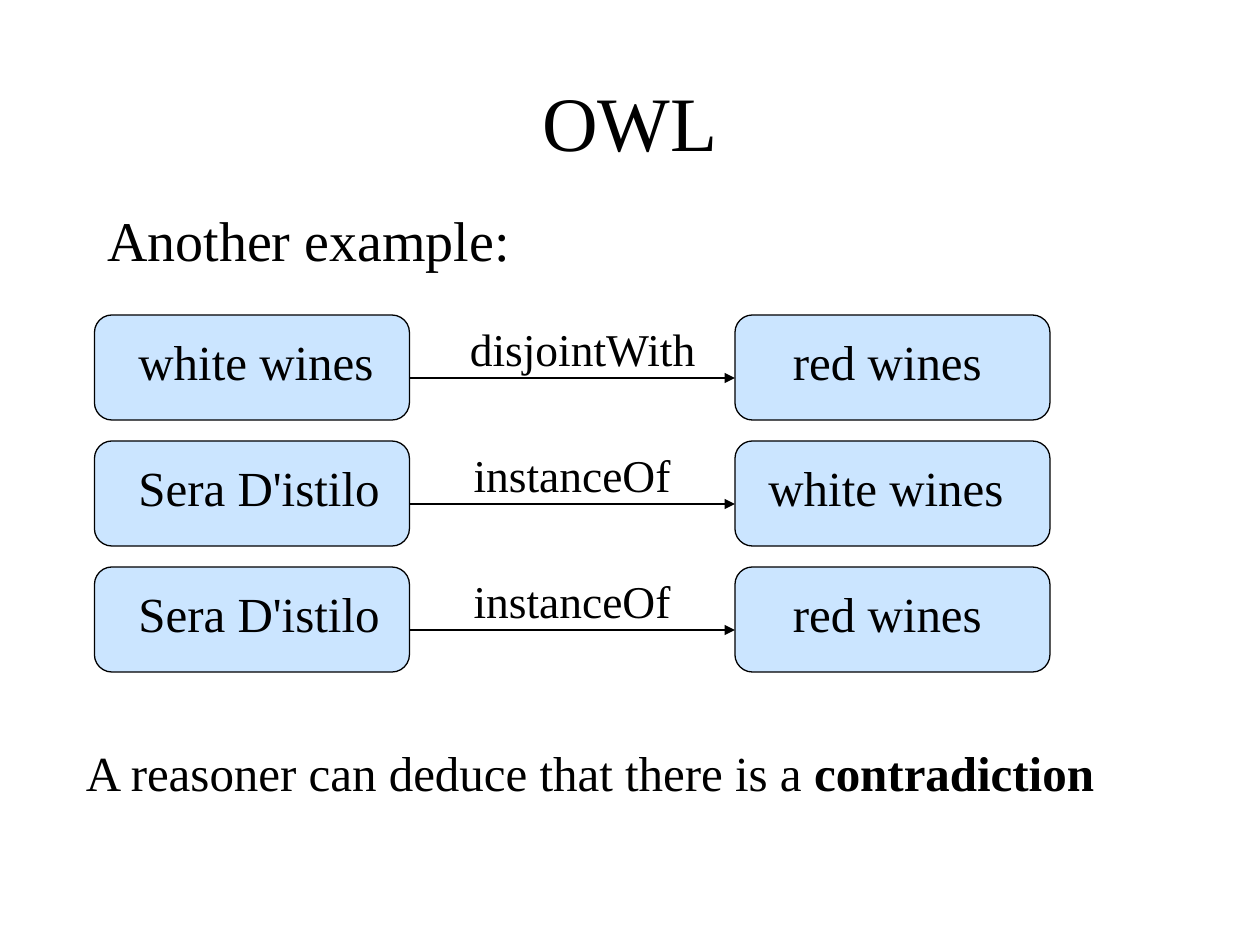
from dataclasses import dataclass

from lxml import etree
from pptx import Presentation
from pptx.dml.color import RGBColor
from pptx.enum import shapes, text
from pptx.oxml import ns
from pptx.util import Pt


@dataclass(frozen=True)
class Theme:
    font: str = "Times New Roman"
    ink: RGBColor = RGBColor(0x00, 0x00, 0x00)
    box: RGBColor = RGBColor(0x99, 0xCC, 0xFF)
    box_alpha: int = 50
    line: float = 0.75
    title: int = 44
    body: int = 32
    statement: int = 28
    relation: int = 26


THEME = Theme()
BOX_WIDTH, BOX_HEIGHT = 180, 60
SUBJECT_LEFT, OBJECT_LEFT = 54, 420
FIRST_TOP, ROW_PITCH = 180, 72

# subject, relation, object, tab stop of the object, (left, width) of the relation
WIDE, NARROW = (252, 162), (258, 138)
STATEMENTS = [
    ("white wines", "disjointWith", "red wines", 374, WIDE),
    ("Sera D'istilo", "instanceOf", "white wines", 360, NARROW),
    ("Sera D'istilo", "instanceOf", "red wines", 374, NARROW),
]


def add_child(parent, tag, **attributes):
    return etree.SubElement(parent, ns.qn(tag), attributes)


def style(paragraph, size, align=text.PP_ALIGN.LEFT):
    paragraph.alignment = align
    paragraph.font.name = THEME.font
    paragraph.font.size = Pt(size)
    paragraph.font.color.rgb = THEME.ink


def place(shape, left, top, width, height):
    shape.left, shape.top = Pt(left), Pt(top)
    shape.width, shape.height = Pt(width), Pt(height)


def fill_title(slide, words):
    title = slide.shapes.title
    place(title, 54, 24, 612, 90)
    title.text_frame.text = words
    title.text_frame.vertical_anchor = text.MSO_ANCHOR.MIDDLE
    style(title.text_frame.paragraphs[0], THEME.title, text.PP_ALIGN.CENTER)


def fill_body(slide, words):
    body = slide.placeholders[1]
    place(body, 54, 114, 612, 324)
    body.text_frame.text = words
    paragraph = body.text_frame.paragraphs[0]
    style(paragraph, THEME.body)
    paragraph.space_before = Pt(8)
    properties = paragraph._p.get_or_add_pPr()
    properties.set("marL", str(Pt(27)))
    properties.set("indent", str(Pt(-27)))
    # the schema wants the bullet ahead of the default run properties
    bullet = add_child(properties, "a:buNone")
    properties.find(ns.qn("a:defRPr")).addprevious(bullet)


def add_text(slide, words, left, top, width, height, size, align=text.PP_ALIGN.LEFT):
    box = slide.shapes.add_textbox(Pt(left), Pt(top), Pt(width), Pt(height))
    box.text_frame.word_wrap = True
    box.text_frame.auto_size = text.MSO_AUTO_SIZE.SHAPE_TO_FIT_TEXT
    paragraph = box.text_frame.paragraphs[0]
    paragraph.add_run().text = words
    style(paragraph, size, align)
    return paragraph


def add_box(slide, left, top):
    box = slide.shapes.add_shape(shapes.MSO_SHAPE.ROUNDED_RECTANGLE,
                                 Pt(left), Pt(top), Pt(BOX_WIDTH), Pt(BOX_HEIGHT))
    box.shadow.inherit = False
    box.fill.solid()
    box.fill.fore_color.rgb = THEME.box
    color = box.fill._xPr.find(".//" + ns.qn("a:srgbClr"))
    add_child(color, "a:alpha", val=str(THEME.box_alpha * 1000))
    box.line.color.rgb = THEME.ink
    box.line.width = Pt(THEME.line)


def add_arrow(slide, start, end, y):
    arrow = slide.shapes.add_connector(shapes.MSO_CONNECTOR.STRAIGHT,
                                       Pt(start), Pt(y), Pt(end), Pt(y))
    arrow.line.color.rgb = THEME.ink
    arrow.line.width = Pt(THEME.line)
    add_child(arrow.line._get_or_add_ln(), "a:tailEnd", type="triangle")
    add_child(arrow._element.spPr, "a:effectLst")


def add_statement(slide, top, subject, relation, target, tab_stop, relation_span):
    """Draw one row: two boxes, the arrow between them and their words."""
    add_box(slide, OBJECT_LEFT, top)
    add_box(slide, SUBJECT_LEFT, top)
    add_arrow(slide, SUBJECT_LEFT + BOX_WIDTH, OBJECT_LEFT, top + 36)
    left, width = relation_span
    add_text(slide, relation, left, top, width, 39, THEME.relation, text.PP_ALIGN.CENTER)
    names = add_text(slide, f"{subject}\t{target}", 72, top + 6, 600, 41, THEME.statement)
    tabs = add_child(names._p.get_or_add_pPr(), "a:tabLst")
    add_child(tabs, "a:tab", pos=str(Pt(tab_stop)), algn="l")
    # the schema wants the tab list ahead of the default run properties
    names._p.pPr.insert(0, tabs)


def add_conclusion(slide):
    paragraph = add_text(slide, "A reasoner can deduce that there is a ",
                         42, 421, 600, 41, THEME.statement)
    run = paragraph.add_run()
    run.text = "contradiction"
    run.font.bold = True


def main():
    presentation = Presentation()
    presentation.slide_width, presentation.slide_height = Pt(720), Pt(540)
    slide = presentation.slides.add_slide(presentation.slide_layouts[1])
    fill_title(slide, "OWL")
    fill_body(slide, "Another example:")
    for row, statement in enumerate(STATEMENTS):
        add_statement(slide, FIRST_TOP + row * ROW_PITCH, *statement)
    add_conclusion(slide)
    presentation.save("out.pptx")


if __name__ == "__main__":
    main()
